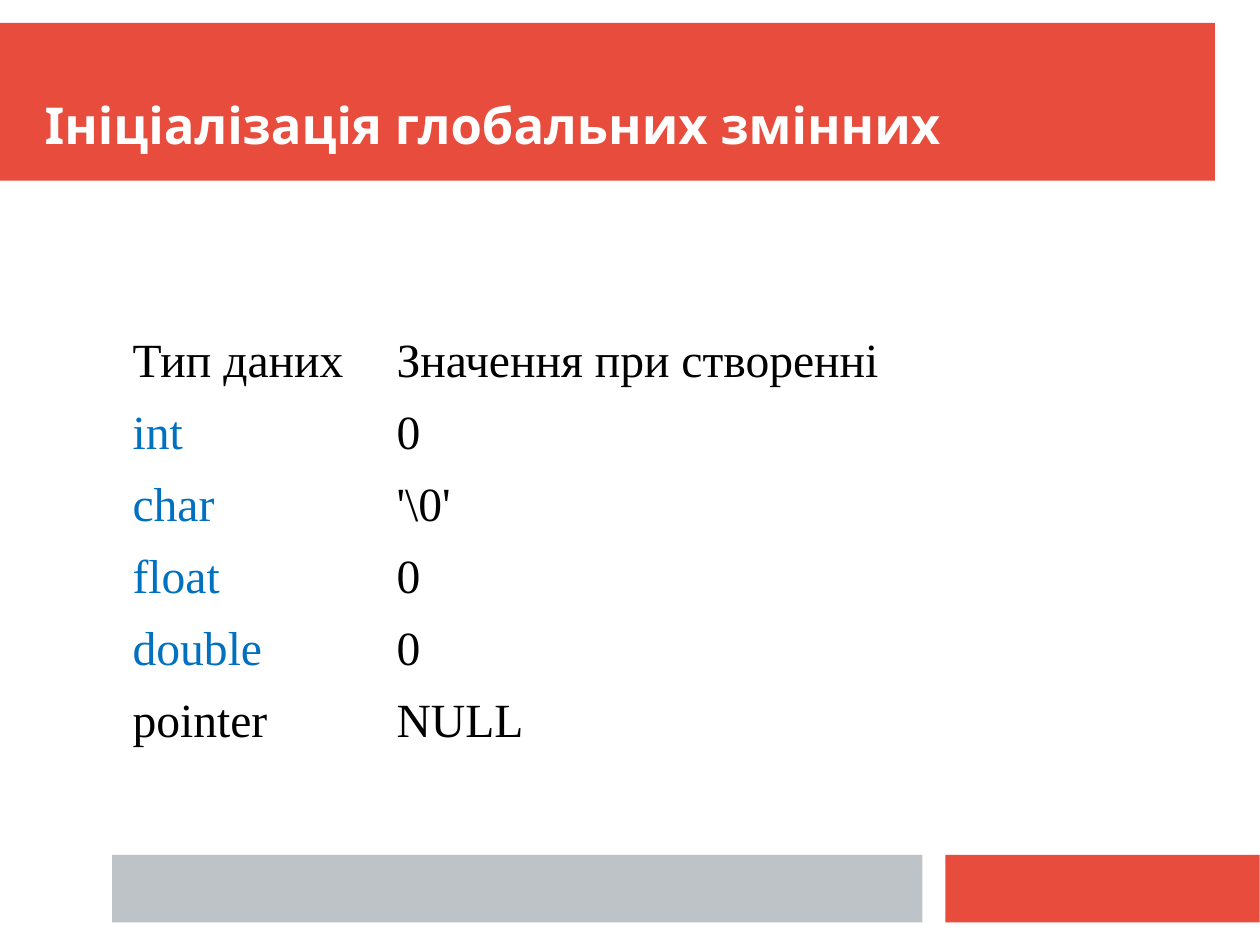
"""Build a slide listing the initial values of global variables."""
from pptx import Presentation
from pptx.dml.color import RGBColor
from pptx.enum.shapes import MSO_SHAPE
from pptx.enum.text import MSO_ANCHOR, MSO_AUTO_SIZE, PP_ALIGN
from pptx.util import Inches, Pt

RECTANGLE = MSO_SHAPE.RECTANGLE
BOTTOM, MIDDLE = MSO_ANCHOR.BOTTOM, MSO_ANCHOR.MIDDLE
NO_AUTOFIT = MSO_AUTO_SIZE.NONE
LEFT = PP_ALIGN.LEFT
TITLE_ONLY = 5
CM_PER_INCH = 2.54
PAGE_WIDTH_CM, PAGE_HEIGHT_CM = 28, 21

COLORS = {
    "red": "E74C3C",
    "gray": "BDC3C7",
    "white": "FFFFFF",
    "black": "000000",
    "keyword": "0070C0",
}
BANDS = [
    (0, 0.2, 10.63, 1.38, "red"),
    (8.27, 7.48, 2.75, 0.59, "red"),
    (0.98, 7.48, 7.09, 0.59, "gray"),
]
INITIAL_VALUES = [
    ("Тип даних", "Значення при створенні"),
    ("int", "0"),
    ("char", r"'\0'"),
    ("float", "0"),
    ("double", "0"),
    ("pointer", "NULL"),
]
KEYWORDS = {"int", "char", "float", "double"}
COLUMN_WIDTHS = (2.31, 4.38)
ROW_HEIGHT = 0.62


def rgb(color):
    """Return the palette colour of the given name."""
    return RGBColor.from_string(COLORS[color])


def format_text(paragraph, font_name, size, color, spacing, bold=False):
    """Style a paragraph and its runs."""
    paragraph.alignment = LEFT
    paragraph.line_spacing = spacing
    for run in paragraph.runs:
        run.font.name = font_name
        run.font.size = Pt(size)
        run.font.bold = bold
        run.font.color.rgb = rgb(color)


def add_band(slide, left, top, width, height, color):
    """Add a plain coloured band."""
    band = slide.shapes.add_shape(
        RECTANGLE, Inches(left), Inches(top), Inches(width), Inches(height)
    )
    band.shadow.inherit = False
    band.fill.solid()
    band.fill.fore_color.rgb = rgb(color)
    band.line.fill.background()


def set_title(slide, wording):
    """Place the title in front of the bands and format it."""
    title = slide.shapes.title
    slide.shapes.element.append(title.element)
    title.left, title.top = Inches(0.39), Inches(0.39)
    title.width, title.height = Inches(10.23), Inches(0.98)
    frame = title.text_frame
    frame.text = wording
    frame.auto_size = NO_AUTOFIT
    frame.word_wrap = True
    frame.vertical_anchor = BOTTOM
    frame.margin_left = frame.margin_right = Inches(0)
    frame.margin_top = frame.margin_bottom = Inches(0)
    format_text(frame.paragraphs[0], "Karla", 32, "white", 0.98, bold=True)


def fill_cell(cell, wording):
    """Write one unfilled table cell, colouring type keywords."""
    cell.text = wording
    cell.fill.background()
    cell.vertical_anchor = MIDDLE
    cell.margin_left = cell.margin_right = Inches(0.02)
    cell.margin_top = cell.margin_bottom = Inches(0.05)
    color = "keyword" if wording in KEYWORDS else "black"
    format_text(
        cell.text_frame.paragraphs[0], "Times New Roman", 30, color, 1.15
    )


def add_value_table(slide):
    """Add the table of data types and their initial values."""
    row_count = len(INITIAL_VALUES)
    table = slide.shapes.add_table(
        row_count, len(COLUMN_WIDTHS), Inches(1.14), Inches(2.81),
        Inches(sum(COLUMN_WIDTHS)), Inches(ROW_HEIGHT * row_count),
    ).table
    table.first_row = False
    table.horz_banding = False
    for column, width in zip(table.columns, COLUMN_WIDTHS):
        column.width = Inches(width)
    for row, wordings in zip(table.rows, INITIAL_VALUES):
        row.height = Inches(ROW_HEIGHT)
        for cell, wording in zip(row.cells, wordings):
            fill_cell(cell, wording)


def main():
    """Build and save the presentation."""
    presentation = Presentation()
    presentation.slide_width = Inches(PAGE_WIDTH_CM / CM_PER_INCH)
    presentation.slide_height = Inches(PAGE_HEIGHT_CM / CM_PER_INCH)
    slide = presentation.slides.add_slide(
        presentation.slide_layouts[TITLE_ONLY]
    )
    for band in BANDS:
        add_band(slide, *band)
    set_title(slide, "Ініціалізація глобальних змінних")
    add_value_table(slide)
    presentation.save("out.pptx")


if __name__ == "__main__":
    main()
